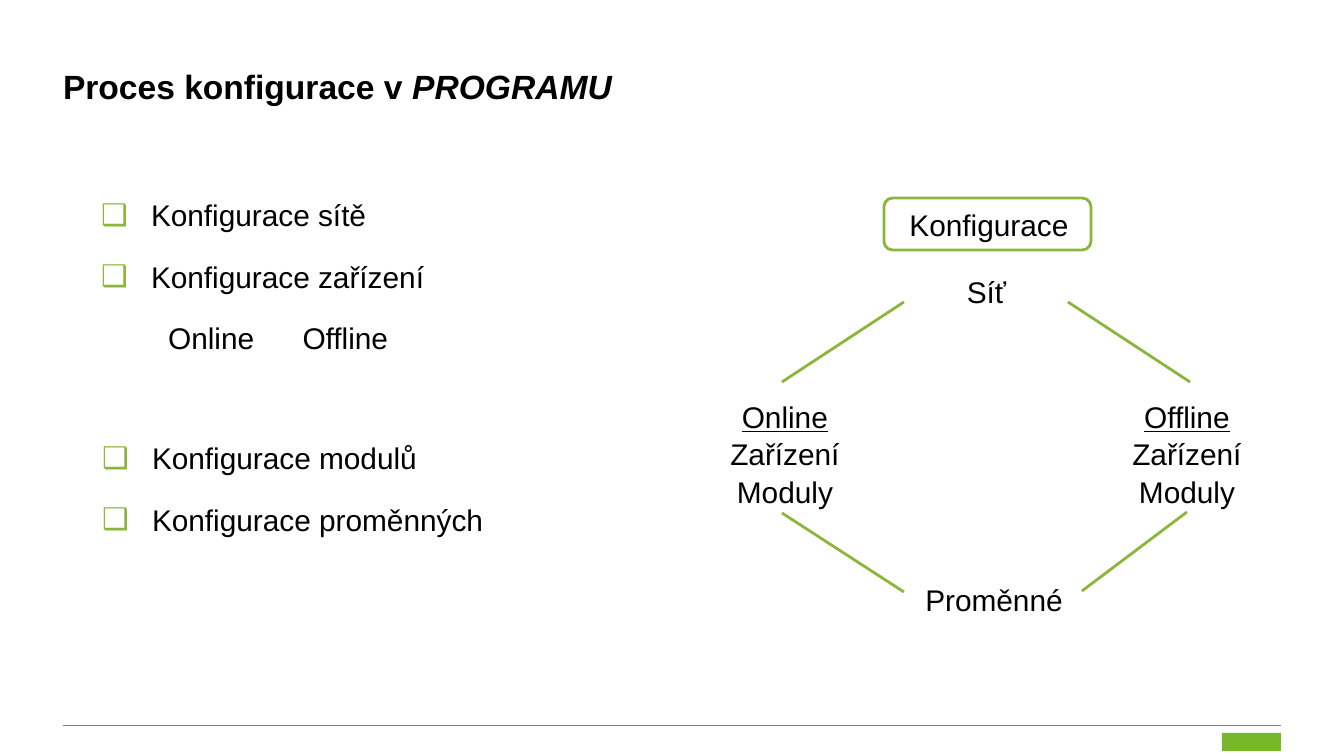
from pptx import Presentation
from pptx import util as u
from pptx.dml.color import RGBColor
from pptx.enum import shapes, text
from pptx.oxml.ns import qn
from lxml import etree

TITLE = [("Proces konfigurace v ", False), ("PROGRAMU", True)]
LISTS = [
    ((101, 188, 681, 206),
     ["Konfigurace sítě", "Konfigurace zařízení", "\tOnline\tOffline"]),
    ((102, 431, 554, 206), ["Konfigurace modulů", "Konfigurace proměnných"]),
]
LABELS = [
    ((880, 198, 218, 50), ["Konfigurace"]),
    ((862, 265, 249, 50), ["Síť"]),
    ((891, 573, 206, 50), ["Proměnné"]),
    ((668, 390, 234, 122), ["Online", "Zařízení", "Moduly"]),
    ((1070, 390, 234, 122), ["Offline", "Zařízení", "Moduly"]),
]
LINKS = [
    (1068, 302, 1190, 382),
    (782, 382, 904, 302),
    (782, 513, 904, 592),
    (1082, 591, 1187, 512),
]
TABS = [142, 426]
INDENT = 50
THEME = dict(font="Arial", ink="000000", green="8BB63B", mark="76B828",
             rule="848380", head=18, body=16, thin=0.5, wide=1.5)


def px(n):
    return u.Emu(round(n * 914400 / 134.4))


def box(vals):
    return [px(v) for v in vals]


def color(name):
    return RGBColor.from_string(THEME[name])


def style(font, size):
    font.name = THEME["font"]
    font.size = u.Pt(THEME[size])
    font.color.rgb = color("ink")


def place(holder, area):
    holder.left, holder.top, holder.width, holder.height = box(area)
    frame = holder.text_frame
    frame.margin_left = frame.margin_right = 0
    frame.margin_top = frame.margin_bottom = 0
    frame.vertical_anchor = text.MSO_ANCHOR.TOP
    frame.auto_size = text.MSO_AUTO_SIZE.NONE
    frame.word_wrap = True
    return frame


def add(node, tag, **attrs):
    return etree.SubElement(node, qn(tag), attrs)


def bullet(par):
    props = par._p.get_or_add_pPr()
    props.set("marL", str(px(INDENT)))
    props.set("indent", str(-px(INDENT)))
    add(add(props, "a:buClr"), "a:srgbClr", val=THEME["green"])
    add(props, "a:buFont", typeface=THEME["font"])
    add(props, "a:buChar", char="❑")


def tabs(par):
    props = par._p.get_or_add_pPr()
    props.set("marL", "0")
    props.set("indent", "0")
    add(props, "a:buNone")
    stops = add(props, "a:tabLst")
    for stop in TABS:
        add(stops, "a:tab", pos=str(px(stop)), algn="l")


def fill(frame, lines):
    for i, line in enumerate(lines):
        par = frame.paragraphs[0] if i == 0 else frame.add_paragraph()
        par.text = line
        yield i, par


def link(slide, ends, tint, width):
    line = slide.shapes.add_connector(
        shapes.MSO_CONNECTOR.STRAIGHT, *box(ends))
    line.line.color.rgb = color(tint)
    line.line.width = u.Pt(THEME[width])
    add(line._element.spPr, "a:effectLst")


def block(slide, kind, area):
    shape = slide.shapes.add_shape(kind, *box(area))
    shape.shadow.inherit = False
    return shape


def main():
    deck = Presentation()
    deck.slide_width, deck.slide_height = px(1344), px(756)
    slide = deck.slides.add_slide(deck.slide_layouts[3])

    link(slide, (63, 726, 1281, 726), "rule", "thin")
    logo = block(slide, shapes.MSO_SHAPE.RECTANGLE, (1222, 733, 59, 18))
    logo.fill.solid()
    logo.fill.fore_color.rgb = color("mark")
    logo.line.fill.background()

    par = place(slide.shapes.title, (63, 66, 1218, 122)).paragraphs[0]
    par.alignment = text.PP_ALIGN.LEFT
    style(par.font, "head")
    par.font.bold = True
    for words, slant in TITLE:
        run = par.add_run()
        run.text = words
        if slant:
            run.font.italic = True

    for spot, (area, lines) in enumerate(LISTS, 1):
        frame = place(slide.placeholders[spot], area)
        for i, par in fill(frame, lines):
            par.line_spacing = 1.25
            par.space_before = u.Pt(0)
            par.space_after = u.Pt(9)
            if "\t" in lines[i]:
                tabs(par)
            else:
                bullet(par)
            style(par.font, "body")

    for area, lines in LABELS:
        frame = slide.shapes.add_textbox(*box(area)).text_frame
        frame.word_wrap = True
        for i, par in fill(frame, lines):
            par.alignment = text.PP_ALIGN.CENTER
            par.line_spacing = 1.05
            style(par.font, "body")
            if len(lines) > 1 and i == 0:
                par.font.underline = True

    ring = block(slide, shapes.MSO_SHAPE.ROUNDED_RECTANGLE,
                 (884, 198, 207, 52))
    ring.fill.background()
    ring.line.color.rgb = color("green")
    ring.line.width = u.Pt(THEME["wide"])
    for ends in LINKS:
        link(slide, ends, "green", "wide")

    deck.save("out.pptx")


if __name__ == "__main__":
    main()
